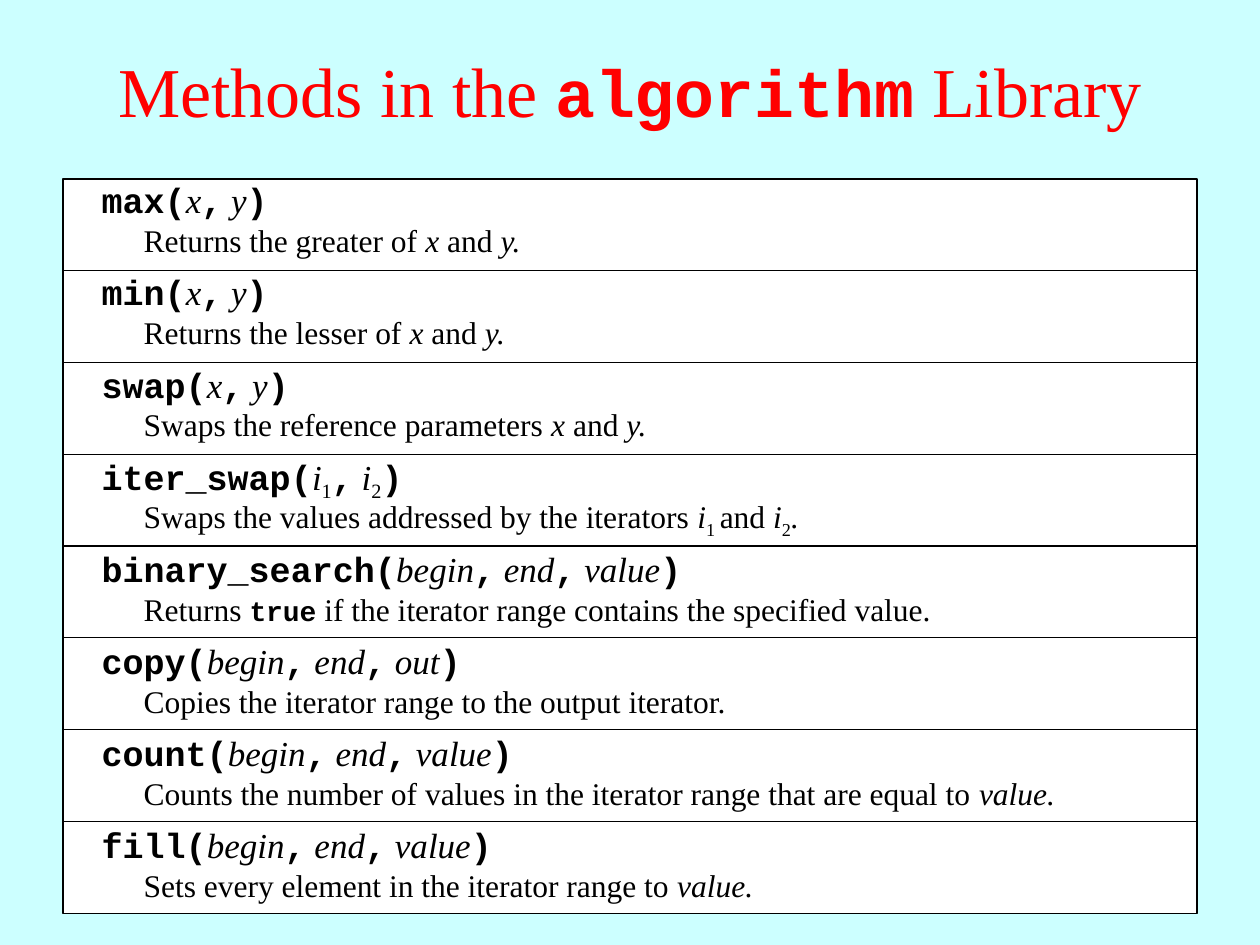
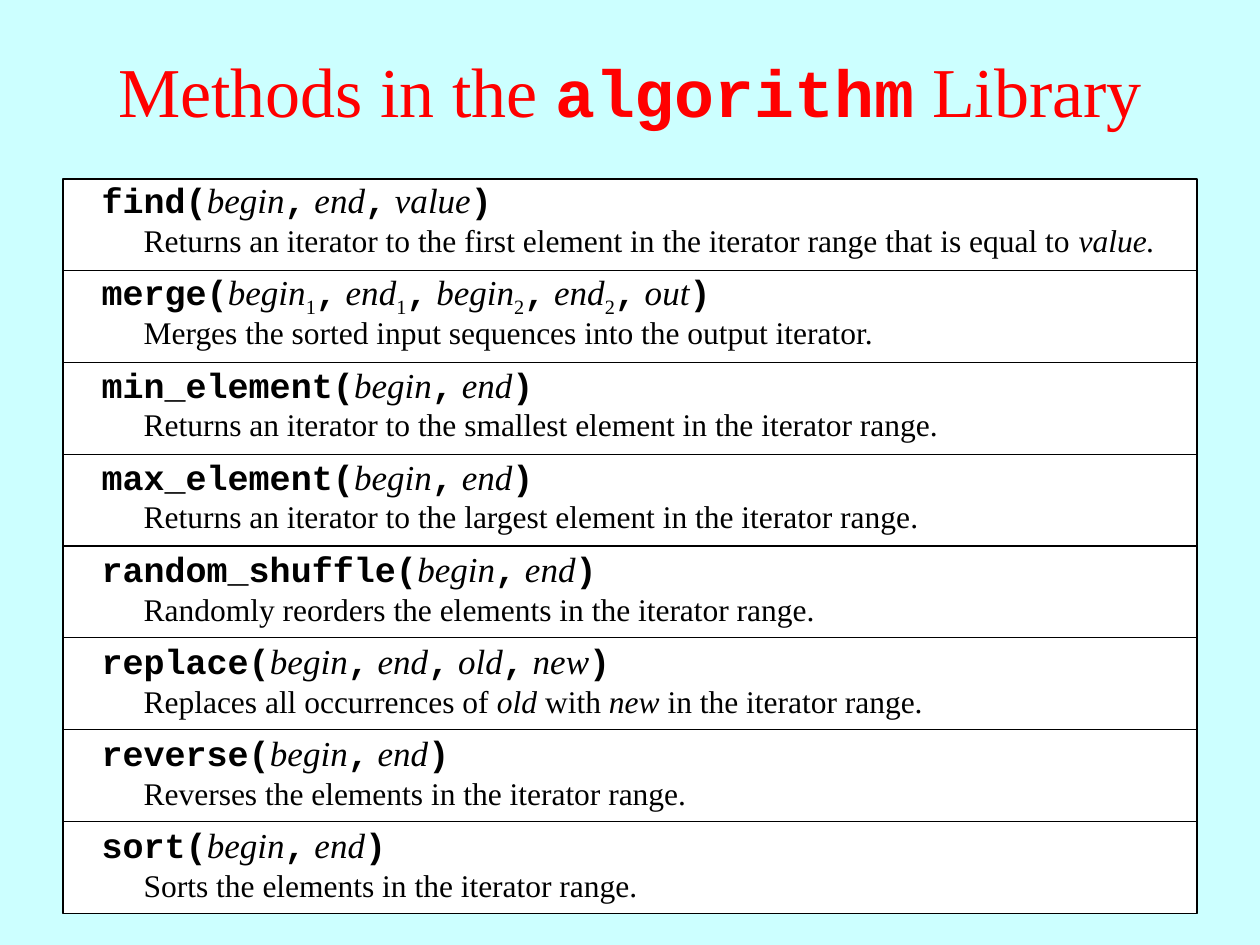
from lxml.etree import SubElement
from pptx import Presentation
from pptx.dml.color import RGBColor
from pptx.enum.shapes import MSO_CONNECTOR, MSO_SHAPE
from pptx.enum.text import MSO_ANCHOR, MSO_AUTO_SIZE, PP_ALIGN
from pptx.oxml.ns import qn
from pptx.util import Pt

TITLE = "Methods in the `algorithm` Library"
MARKS = "*~`"
ROW_COUNT = 8
PANEL_LEFT, PANEL_TOP, PANEL_WIDTH, ROW_HEIGHT = 36, 102.25, 648, 52.45
LABEL_TOP, LABEL_PITCH, DESCRIPTION_OFFSET = 98.65, 52.65, 24.1

BASIC_METHODS = [
    ("max", "x y", "Returns the greater of *x *and *y.*"),
    ("min", "x y", "Returns the lesser of *x *and *y.*"),
    ("swap", "x y", "Swaps the reference parameters *x *and *y.*"),
    ("iter_swap", "i1 i2",
     "Swaps the values addressed by the iterators *i*~1 ~and *i*~2~*.*"),
    ("binary_search", "begin end value",
     "Returns `true` if the iterator range contains the specified value."),
    ("copy", "begin end out",
     "Copies the iterator range to the output iterator."),
    ("count", "begin end value",
     "Counts the number of values in the iterator range that are equal to *value.*"),
    ("fill", "begin end value",
     "Sets every element in the iterator range to *value.*"),
]
RANGE_METHODS = [
    ("find", "begin end value",
     "Returns an iterator to the first element in the iterator range "
     "that is equal to *value.*"),
    ("merge", "begin1 end1 begin2 end2 out",
     "Merges the sorted input sequences into the output iterator."),
    ("min_element", "begin end",
     "Returns an iterator to the smallest element in the iterator range."),
    ("max_element", "begin end",
     "Returns an iterator to the largest element in the iterator range*.*"),
    ("random_shuffle", "begin end",
     "Randomly reorders the elements in the iterator range."),
    ("replace", "begin end old new",
     "Replaces all occurrences of *old *with *new* in the iterator range."),
    ("reverse", "begin end",
     "Reverses the elements in the iterator range*.*"),
    ("sort", "begin end", "Sorts the elements in the iterator range*.*"),
]


def color(value):
    """Turn a hex string into a colour."""
    return RGBColor.from_string(value)


def marked_runs(text):
    """Yield each piece of text with its mark: * italic, ~ subscript, ` code."""
    piece, mark = "", ""
    for letter in text:
        if letter not in MARKS:
            piece += letter
            continue
        if piece:
            yield piece, mark
        piece, mark = "", "" if mark == letter else letter
    if piece:
        yield piece, mark


def signature(name, parameters):
    """Mark up a call with italic parameters and subscript digits."""
    parts = []
    for index, parameter in enumerate(parameters.split()):
        word = parameter.rstrip("12")
        digit = parameter[len(word):]
        gap = " " if index else ""
        parts.append(f"*{gap}{word}*" + (f"~{digit}~" if digit else ""))
    return f"`{name}(`" + "`,`".join(parts) + "`)`"


class MethodDeck:
    """Hold the shared style and the current page."""

    background, panel_fill, ink, title_ink = "CCFFFF", "FFFFFF", "000000", "FF0000"
    text_font, code_font = "Times New Roman", "Courier New"
    line_width = 0.75

    def __init__(self):
        """Start an empty deck."""
        self.deck = Presentation()
        self.deck.slide_width, self.deck.slide_height = Pt(720), Pt(540)
        self.page = None

    def add_page(self):
        """Open a blank page with the shared background."""
        self.page = self.deck.slides.add_slide(self.deck.slide_layouts[6])
        fill = self.page.background.fill
        fill.solid()
        fill.fore_color.rgb = color(self.background)

    def outline(self, line):
        """Give a line the shared colour and width."""
        line.color.rgb = color(self.ink)
        line.width = Pt(self.line_width)

    def panel(self, left, top, width, height):
        """Draw the framed panel behind the methods."""
        box = self.page.shapes.add_shape(
            MSO_SHAPE.RECTANGLE, Pt(left), Pt(top), Pt(width), Pt(height))
        box.shadow.inherit = False
        box.fill.solid()
        box.fill.fore_color.rgb = color(self.panel_fill)
        self.outline(box.line)

    def rule(self, left, top, width):
        """Draw a horizontal line between two rows."""
        line = self.page.shapes.add_connector(
            MSO_CONNECTOR.STRAIGHT, Pt(left), Pt(top), Pt(left + width), Pt(top))
        self.outline(line.line)
        SubElement(line._element.spPr, qn("a:effectLst"))

    def text(self, content, left, top, width, height, size, code_size, ink=ink):
        """Add a box with one marked-up paragraph and return it."""
        box = self.page.shapes.add_textbox(Pt(left), Pt(top), Pt(width), Pt(height))
        box.text_frame.word_wrap = True
        para = box.text_frame.paragraphs[0]
        for piece, mark in marked_runs(content):
            span = para.add_run()
            span.text = piece
            is_code = mark == "`"
            span.font.name = self.code_font if is_code else self.text_font
            span.font.size = Pt(code_size if is_code else size)
            span.font.bold = is_code
            span.font.italic = mark == "*"
            span.font.color.rgb = color(ink)
            if mark == "~":
                span._r.get_or_add_rPr().set("baseline", "-25000")
        return box

    def title(self, content):
        """Add the centred page title."""
        box = self.text(content, 0, 6, 720, 90, 40, 38, self.title_ink)
        box.text_frame.vertical_anchor = MSO_ANCHOR.MIDDLE
        box.text_frame.paragraphs[0].alignment = PP_ALIGN.CENTER

    def method(self, top, name, parameters, description):
        """Add a method signature with its description below."""
        label = self.text(signature(name, parameters), 51, top, 618, 31, 20, 20)
        detail = self.text(
            description, 75, top + DESCRIPTION_OFFSET, 600, 29, 18, 16)
        for box in (label, detail):
            box.text_frame.auto_size = MSO_AUTO_SIZE.SHAPE_TO_FIT_TEXT

    def method_page(self, methods):
        """Build a page that lists methods in ruled rows."""
        self.add_page()
        self.title(TITLE)
        self.panel(PANEL_LEFT, PANEL_TOP, PANEL_WIDTH, ROW_COUNT * ROW_HEIGHT)
        for row in range(1, ROW_COUNT):
            self.rule(PANEL_LEFT, PANEL_TOP + row * ROW_HEIGHT, PANEL_WIDTH)
        for row, method in enumerate(methods):
            self.method(LABEL_TOP + row * LABEL_PITCH, *method)


def main():
    """Build both pages and save the deck."""
    builder = MethodDeck()
    for methods in (BASIC_METHODS, RANGE_METHODS):
        builder.method_page(methods)
    builder.deck.save("out.pptx")


if __name__ == "__main__":
    main()
